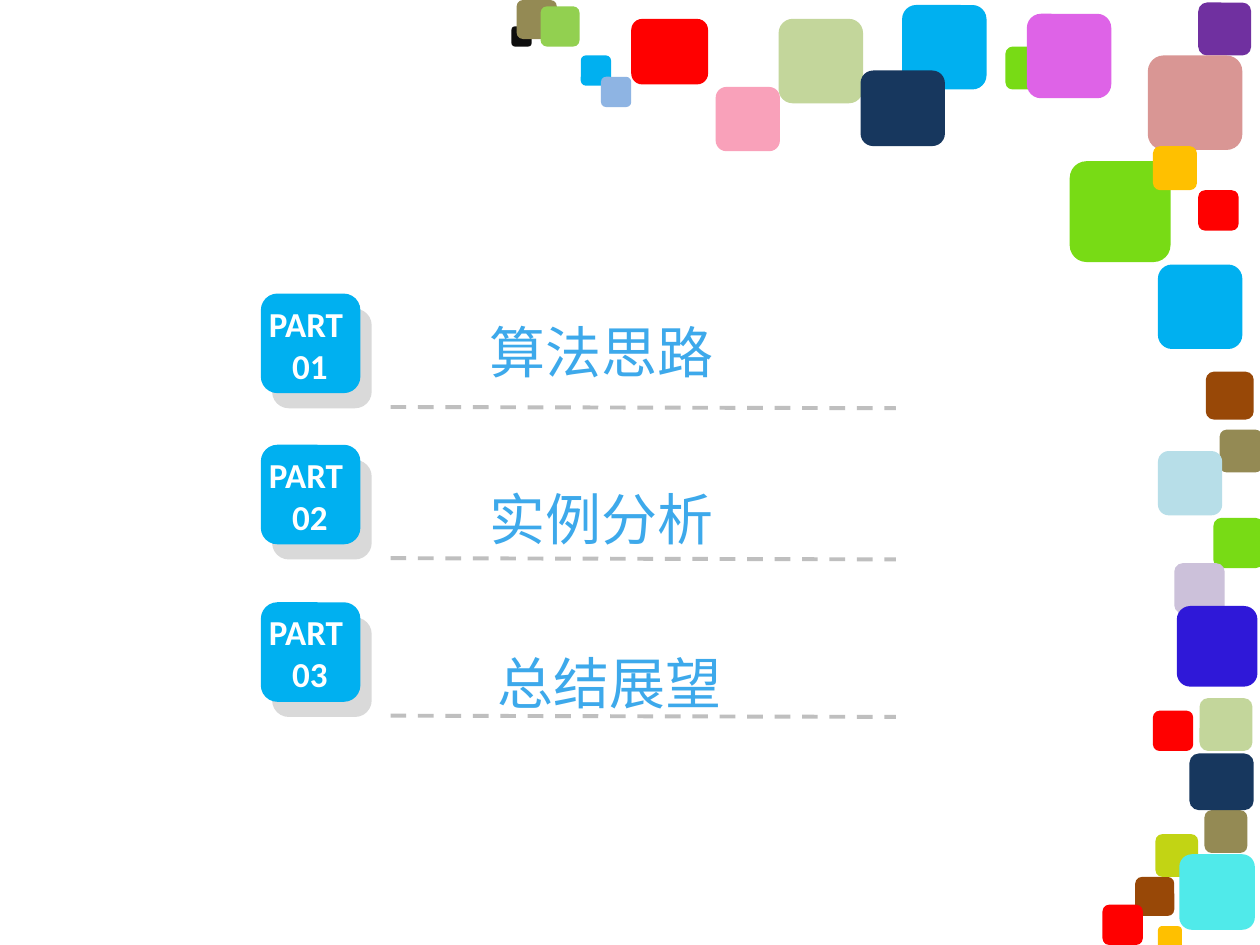
from lxml.etree import SubElement
from pptx import Presentation
from pptx.dml.color import RGBColor
from pptx.enum.dml import MSO_LINE
from pptx.enum.shapes import MSO_CONNECTOR, MSO_SHAPE
from pptx.enum.text import MSO_AUTO_SIZE, PP_ALIGN
from pptx.oxml.ns import qn
from pptx.util import Inches, Pt

BLACK = RGBColor(0x0D, 0x0D, 0x0D)
OLIVE = RGBColor(0x94, 0x8A, 0x54)
SKY = RGBColor(0x00, 0xB0, 0xF0)
RED = RGBColor(0xFF, 0x00, 0x00)
PERIWINKLE = RGBColor(0x8E, 0xB4, 0xE3)
SAGE = RGBColor(0xC3, 0xD6, 0x9B)
PINK = RGBColor(0xF9, 0xA1, 0xBA)
BROWN = RGBColor(0x98, 0x48, 0x07)
LIME = RGBColor(0x78, 0xDB, 0x15)
ORCHID = RGBColor(0xDE, 0x63, 0xE7)
PURPLE = RGBColor(0x70, 0x30, 0xA0)
ROSE = RGBColor(0xD9, 0x96, 0x94)
GREEN = RGBColor(0x92, 0xD0, 0x50)
NAVY = RGBColor(0x17, 0x37, 0x5E)
AMBER = RGBColor(0xFF, 0xC0, 0x00)
ICE = RGBColor(0xB7, 0xDE, 0xE8)
MUSTARD = RGBColor(0xC2, 0xD4, 0x14)
AQUA = RGBColor(0x50, 0xEA, 0xEA)
LILAC = RGBColor(0xCC, 0xC1, 0xDA)
INDIGO = RGBColor(0x2F, 0x18, 0xD8)
SHADE = RGBColor(0xD9, 0xD9, 0xD9)
RULE = RGBColor(0xBF, 0xBF, 0xBF)
WHITE = RGBColor(0xFF, 0xFF, 0xFF)
HEADING = RGBColor(0x3D, 0xA9, 0xEB)

MOSAIC = [
    (4.06, 0.21, 0.16, 0.16, BLACK),
    (4.1, 0, 0.32, 0.31, OLIVE),
    (4.61, 0.44, 0.24, 0.24, SKY),
    (5.01, 0.15, 0.61, 0.52, RED),
    (4.77, 0.61, 0.24, 0.24, PERIWINKLE),
    (6.18, 0.15, 0.67, 0.67, SAGE),
    (5.68, 0.69, 0.51, 0.51, PINK),
    (9.57, 2.95, 0.38, 0.38, BROWN),
    (9.19, 2.1, 0.67, 0.67, SKY),
    (7.16, 0.04, 0.67, 0.67, SKY),
    (7.98, 0.37, 0.34, 0.34, LIME),
    (8.15, 0.11, 0.67, 0.67, ORCHID),
    (9.51, 0.02, 0.42, 0.42, PURPLE),
    (9.11, 0.44, 0.75, 0.75, ROSE),
    (9.51, 1.51, 0.32, 0.32, RED),
    (4.29, 0.05, 0.31, 0.32, GREEN),
    (6.83, 0.56, 0.67, 0.6, NAVY),
    (8.49, 1.28, 0.8, 0.8, LIME),
    (9.15, 1.16, 0.35, 0.35, AMBER),
    (9.68, 3.41, 0.34, 0.34, OLIVE),
    (9.19, 3.58, 0.51, 0.51, ICE),
    (9.63, 4.11, 0.4, 0.4, LIME),
    (9.01, 6.96, 0.31, 0.31, BROWN),
    (8.75, 7.18, 0.32, 0.32, RED),
    (9.19, 7.35, 0.19, 0.19, AMBER),
    (9.56, 6.43, 0.34, 0.34, OLIVE),
    (9.17, 6.62, 0.34, 0.34, MUSTARD),
    (9.36, 6.78, 0.6, 0.6, AQUA),
    (9.32, 4.47, 0.4, 0.4, LILAC),
    (9.34, 4.81, 0.64, 0.64, INDIGO),
    (9.52, 5.54, 0.42, 0.42, SAGE),
    (9.44, 5.98, 0.51, 0.45, NAVY),
    (9.15, 5.64, 0.32, 0.32, RED),
]

PARTS = [
    ("01", 2.33, "算法思路", 3.79, 2.47),
    ("02", 3.53, "实例分析", 3.79, 3.8),
    ("03", 4.78, "总结展望", 3.85, 5.1),
]


def add_tile(shapes, left, top, width, height, color):
    tile = shapes.add_shape(
        MSO_SHAPE.ROUNDED_RECTANGLE,
        Inches(left), Inches(top), Inches(width), Inches(height))
    tile.shadow.inherit = False
    tile.fill.solid()
    tile.fill.fore_color.rgb = color
    tile.line.fill.background()


def add_text(shapes, left, top, width, height, lines, size, color, font,
             bold=False, align=PP_ALIGN.LEFT, wrap=True):
    box = shapes.add_textbox(
        Inches(left), Inches(top), Inches(width), Inches(height))
    frame = box.text_frame
    frame.word_wrap = wrap
    frame.auto_size = MSO_AUTO_SIZE.SHAPE_TO_FIT_TEXT
    for index, line in enumerate(lines):
        para = frame.add_paragraph() if index else frame.paragraphs[0]
        para.alignment = align
        span = para.add_run()
        span.text = line
        span.font.size = Pt(size)
        span.font.bold = bold
        span.font.color.rgb = color
        span.font.name = font
        east_asian = SubElement(span.font._element, qn("a:ea"))
        east_asian.set("typeface", font)


def add_rule(shapes, left, top, right, bottom):
    rule = shapes.add_connector(
        MSO_CONNECTOR.STRAIGHT,
        Inches(left), Inches(top), Inches(right), Inches(bottom))
    rule.line.color.rgb = RULE
    rule.line.width = Pt(2.25)
    rule.line.dash_style = MSO_LINE.DASH
    SubElement(rule._element.spPr, qn("a:effectLst"))


def add_mosaic(page, tiles):
    for tile in tiles:
        add_tile(page.shapes, *tile)


def add_part(page, left, top, number):
    shapes = page.shapes.add_group_shape().shapes
    add_tile(shapes, left + 0.09, top + 0.12, 0.79, 0.79, SHADE)
    add_tile(shapes, left, top, 0.79, 0.79, SKY)
    add_text(shapes, left - 0.04, top + 0.02, 0.86, 0.77, ["PART ", number],
             20, WHITE, "Calibri", bold=True, align=PP_ALIGN.CENTER)
    add_rule(shapes, left + 1.03, top + 0.9, left + 5.04, top + 0.91)


def add_heading(page, left, top, heading):
    add_text(page.shapes, left, top, 1.98, 0.64, [heading],
             32, HEADING, "Noto Sans CJK SC", wrap=False)


def main():
    deck = Presentation()
    deck.slide_width = Inches(10)
    deck.slide_height = Inches(7.5)
    page = deck.slides.add_slide(deck.slide_layouts[6])
    add_mosaic(page, MOSAIC)
    for number, top, heading, heading_left, heading_top in PARTS:
        add_part(page, 2.07, top, number)
        add_heading(page, heading_left, heading_top, heading)
    deck.save("out.pptx")


if __name__ == "__main__":
    main()
